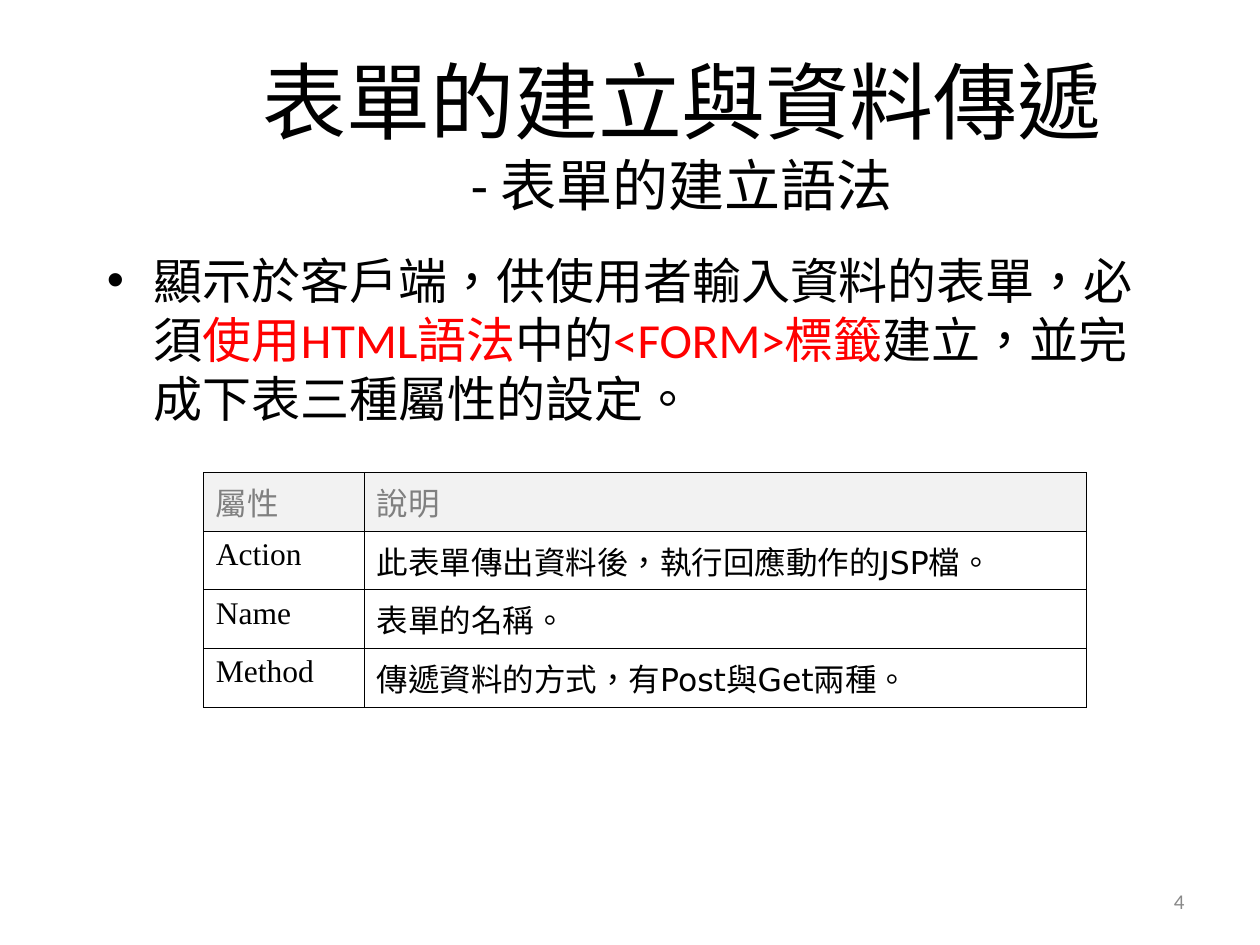
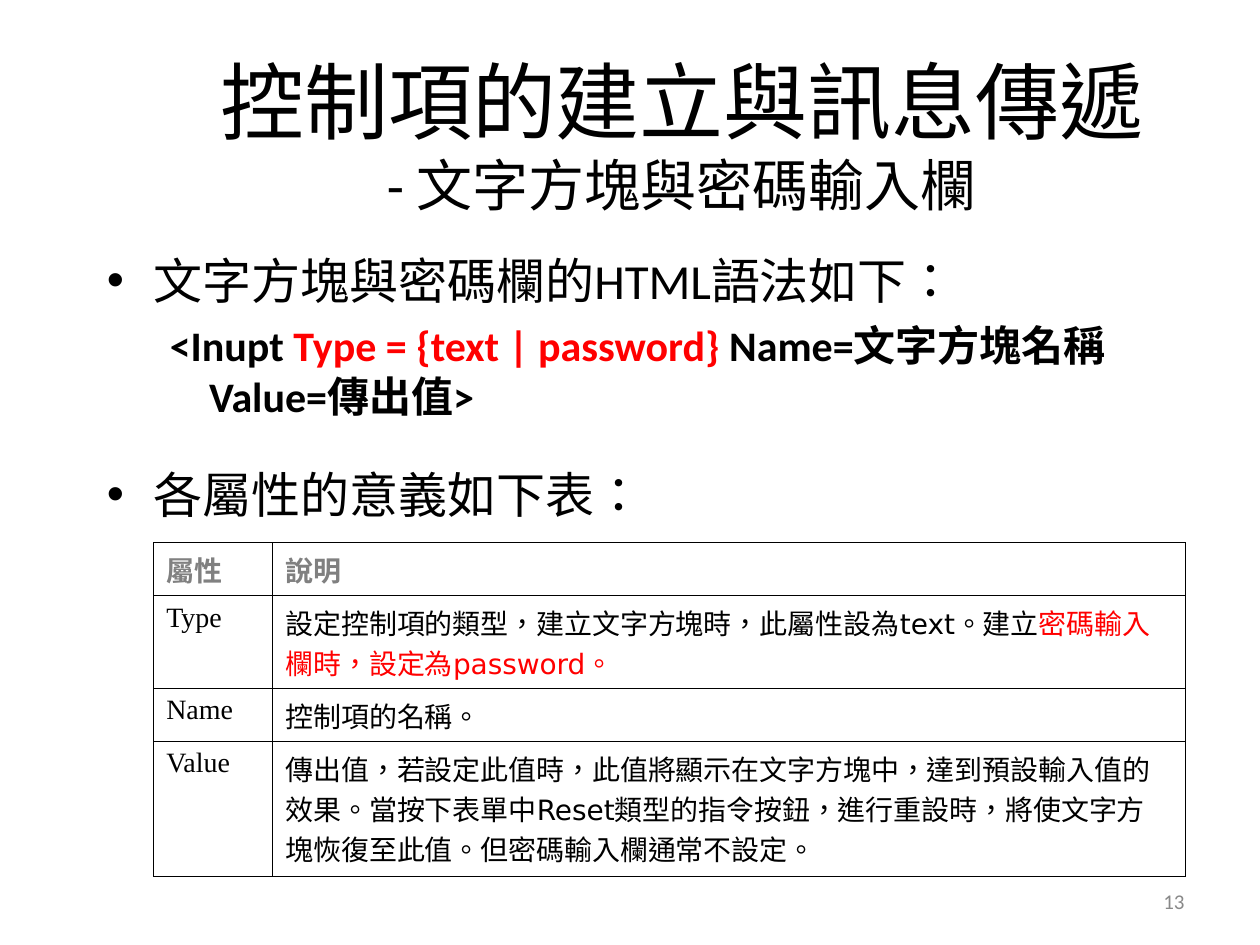
from itertools import groupby

from lxml.etree import SubElement
from pptx import Presentation
from pptx.dml.color import RGBColor
from pptx.enum.text import MSO_ANCHOR, MSO_AUTO_SIZE, PP_ALIGN
from pptx.oxml.ns import qn
from pptx.util import Cm, Pt

COLORS = {"black": "000000", "red": "FF0000", "gray": "808080",
          "number": "898989", "head": "F2F2F2", "white": "FFFFFF"}
BODY_FONT, TABLE_FONT, CODE_FONT = "Calibri", "Times New Roman", "DejaVu Sans"

TITLE_BOX = (2.41, 0.88, 22.68, 3.63)
NUMBER_BOX = (18.21, 17.65, 5.92, 1.02)
BODY_LEFT, BODY_TOP, BODY_HEIGHT = 1.9, 4.92, 12.9

# Level formats: margin and hanging indent in cm, size in points
LEVELS = [
    {"margin": 0.95, "hang": 0.95, "size": 28, "bold": False},
    {"margin": 2.06, "hang": 0.79, "size": 24, "bold": True},
]

# Each body item: level, space before, runs. Each run: text, colour.
SLIDES = [
    {
        "title": "表單的建立與資料傳遞",
        "subtitle": "- 表單的建立語法",
        "number": "4",
        "body_width": 21.59,
        "body": [
            (0, 7, [("顯示於客戶端，供使用者輸入資料的表單，必須", "black"),
                    ("使用HTML語法", "red"), ("中的", "black"),
                    ("<FORM>標籤", "red"),
                    ("建立，並完成下表三種屬性的設定。", "black")]),
        ],
        "table": {
            "at": (4.1, 9.53), "cols": (3.24, 14.56), "rows": (1.18,) * 4,
            "size": 18, "head_bold": False, "head_fill": "head",
            "attributes": [
                ("Action", [("此表單傳出資料後，執行回應動作的JSP檔。", "black")]),
                ("Name", [("表單的名稱。", "black")]),
                ("Method", [("傳遞資料的方式，有Post與Get兩種。", "black")]),
            ],
        },
    },
    {
        "title": "控制項的建立與訊息傳遞",
        "subtitle": "- 文字方塊與密碼輸入欄",
        "number": "13",
        "body_width": 22,
        "body": [
            (0, 7, [("文字方塊與密碼欄的HTML語法如下：", "black")]),
            (1, 6, [("<Inupt ", "black"),
                    ("Type = {text | password} ", "red"),
                    ("Name=文字方塊名稱 Value=傳出值>", "black")]),
            (0, 25, [("各屬性的意義如下表：", "black")]),
        ],
        "table": {
            "at": (3.1, 10.94), "cols": (2.4, 18.4),
            "rows": (1.07, 1.87, 1.07, 2.71),
            "size": 16, "head_bold": True, "head_fill": "white",
            "attributes": [
                ("Type", [("設定控制項的類型，建立文字方塊時，此屬性設為text。建立", "black"),
                          ("密碼輸入欄時，設定為password。", "red")]),
                ("Name", [("控制項的名稱。", "black")]),
                ("Value", [("傳出值，若設定此值時，此值將顯示在文字方塊中，達到預設輸入值的效果。"
                            "當按下表單中Reset類型的指令按鈕，進行重設時，將使文字方塊恢復至此值。"
                            "但密碼輸入欄通常不設定。", "black")]),
            ],
        },
    },
]


def add_text(p, text, size, color="black", font=BODY_FONT, bold=False):
    r = p.add_run()
    r.text = text
    f = r.font
    f.size, f.name, f.bold = Pt(size), font, bold
    f.color.rgb = RGBColor.from_string(COLORS[color])
    rPr = r._r.get_or_add_rPr()
    rPr.set("lang", "zh-TW")
    if font == BODY_FONT:
        SubElement(rPr, qn("a:ea")).set("typeface", font)


def place(sp, left, top, width, height):
    sp.left, sp.top, sp.width, sp.height = map(Cm, (left, top, width, height))


def add_title(s, title, subtitle):
    sp = s.shapes.title
    place(sp, *TITLE_BOX)
    tf = sp.text_frame
    tf.auto_size, tf.vertical_anchor = MSO_AUTO_SIZE.NONE, MSO_ANCHOR.MIDDLE
    p = tf.paragraphs[0]
    p.alignment = PP_ALIGN.CENTER
    add_text(p, title, 48)
    p.add_line_break()
    add_text(p, subtitle, 32)


def add_body(s, items, width):
    sp = s.placeholders[1]
    place(sp, BODY_LEFT, BODY_TOP, width, BODY_HEIGHT)
    tf = sp.text_frame
    tf.auto_size = MSO_AUTO_SIZE.NONE
    for i, (level, before, runs) in enumerate(items):
        p = tf.add_paragraph() if i else tf.paragraphs[0]
        fmt = LEVELS[level]
        p.level, p.space_before = level, Pt(before)
        pPr = p._p.get_or_add_pPr()
        pPr.set("marL", str(Cm(fmt["margin"])))
        pPr.set("indent", str(-Cm(fmt["hang"])))
        if level:
            SubElement(pPr, qn("a:buNone"))
        else:
            SubElement(pPr, qn("a:buChar")).set("char", "•")
        for text, color in runs:
            add_text(p, text, fmt["size"], color, bold=fmt["bold"])


def add_number(s, number):
    tf = s.shapes.add_textbox(*map(Cm, NUMBER_BOX)).text_frame
    tf.word_wrap, tf.vertical_anchor = True, MSO_ANCHOR.MIDDLE
    p = tf.paragraphs[0]
    p.alignment = PP_ALIGN.RIGHT
    add_text(p, number, 12, "number")


def format_cell(cell, fill=None):
    """Draw the four borders, then fill the cell or leave it clear."""
    tcPr = cell._tc.get_or_add_tcPr()
    for side in ("lnL", "lnR", "lnT", "lnB"):
        ln = SubElement(tcPr, qn("a:" + side), w=str(Pt(0.45)))
        SubElement(SubElement(ln, qn("a:solidFill")), qn("a:srgbClr"), val=COLORS["black"])
    if fill:
        cell.fill.solid()
        cell.fill.fore_color.rgb = RGBColor.from_string(COLORS[fill])
    else:
        cell.fill.background()


def add_attribute_table(s, content):
    cols, rows, size = (content[k] for k in ("cols", "rows", "size"))
    box = (*content["at"], sum(cols), sum(rows))
    table = s.shapes.add_table(len(rows), len(cols), *map(Cm, box)).table
    table.first_row = table.horz_banding = False
    for col, width in zip(table.columns, cols):
        col.width = Cm(width)
    for row, height in zip(table.rows, rows):
        row.height = Cm(height)

    for cell, text in zip(table.rows[0].cells, ("屬性", "說明")):
        format_cell(cell, content["head_fill"])
        add_text(cell.text_frame.paragraphs[0], text, size, "gray",
                 TABLE_FONT, content["head_bold"])
    for i, (name, runs) in enumerate(content["attributes"], 1):
        name_cell, note_cell = table.rows[i].cells
        format_cell(name_cell)
        format_cell(note_cell)
        add_text(name_cell.text_frame.paragraphs[0], name, size, font=TABLE_FONT)
        p = note_cell.text_frame.paragraphs[0]
        for text, color in runs:
            for is_code, chars in groupby(text, str.isascii):
                add_text(p, "".join(chars), size, color,
                         CODE_FONT if is_code else TABLE_FONT)


def main():
    prs = Presentation()
    prs.slide_width, prs.slide_height = Cm(25.4), Cm(19.05)
    for content in SLIDES:
        s = prs.slides.add_slide(prs.slide_layouts[1])
        add_title(s, content["title"], content["subtitle"])
        add_body(s, content["body"], content["body_width"])
        add_number(s, content["number"])
        add_attribute_table(s, content["table"])
    prs.save("out.pptx")


if __name__ == "__main__":
    main()
